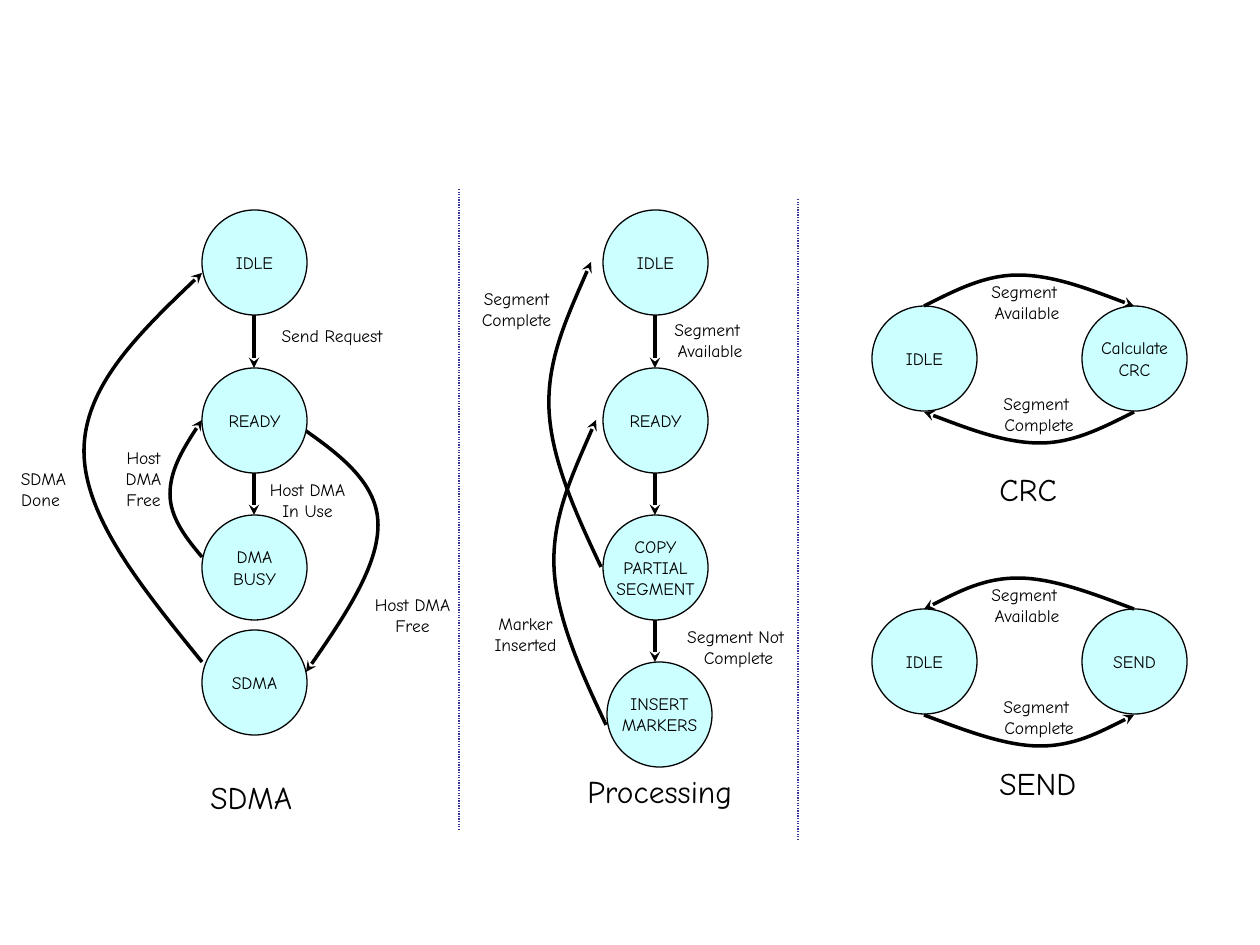
import pptx
import pptx.util
import pptx.dml.color
import pptx.enum.dml
import pptx.enum.shapes
import pptx.enum.text
import pptx.oxml.ns
import lxml.etree

SCALE = 914400 / 126  # EMU per px
FONT = "Comic Neue"
COLOURS = {"state": "CCFFFF", "ink": "000000", "divider": "333399"}
COLOURS = {name: pptx.dml.color.RGBColor.from_string(code) for name, code in COLOURS.items()}
ALIGN = pptx.enum.text.PP_ALIGN
qn = pptx.oxml.ns.qn


def px(*lengths):
    return [round(length * SCALE) for length in lengths]


def write(frame, text, size=10, align=ALIGN.CENTER, anchor=pptx.enum.text.MSO_ANCHOR.TOP):
    frame.word_wrap = False
    frame.vertical_anchor = anchor
    for index, line in enumerate(text.split("\n")):
        para = frame.paragraphs[0] if index == 0 else frame.add_paragraph()
        para.alignment = align
        span = para.add_run()
        span.text = line
        span.font.name = FONT
        span.font.size = pptx.util.Pt(size)
        span.font.color.rgb = COLOURS["ink"]


deck = pptx.Presentation()
deck.slide_width, deck.slide_height = px(1260, 945)
page = deck.slides.add_slide(deck.slide_layouts[6])
shapes = page.shapes

# State circles: left, top, text
DIAMETER = 105
states = [
    (202, 210, "IDLE"), (202, 368, "READY"), (202, 515, "DMA\nBUSY"), (202, 630, "SDMA"),
    (603, 210, "IDLE"), (603, 368, "READY"), (603, 515, "COPY\nPARTIAL\nSEGMENT"),
    (607, 662, "INSERT\nMARKERS"),
    (872, 306, "IDLE"), (1082, 306, "Calculate\nCRC"),
    (872, 609, "IDLE"), (1082, 609, "SEND"),
]
for left, top, text in states:
    circle = shapes.add_shape(
        pptx.enum.shapes.MSO_SHAPE.OVAL, *px(left, top, DIAMETER, DIAMETER))
    circle.shadow.inherit = False
    circle.fill.solid()
    circle.fill.fore_color.rgb = COLOURS["state"]
    circle.line.color.rgb = COLOURS["ink"]
    circle.line.width = pptx.util.Pt(0.75)
    write(circle.text_frame, text, anchor=pptx.enum.text.MSO_ANCHOR.MIDDLE)

# Curved transitions: a start point and two Bezier pieces, with the arrowhead's end
marker_inserted = [(606, 725), (581, 672), (556, 617), (554, 567),
                   (552, 517), (575, 469), (596, 420)]
segment_complete = [(x - 5, y - 158) for x, y in marker_inserted]
upper_arc = [(924, 306), (954, 291), (984, 275), (1018, 275),
             (1053, 275), (1094, 291), (1134, 306)]
lower_arc = [(2058 - x, 718 - y) for x, y in upper_arc]
curves = [
    ([(202, 662), (142, 588), (84, 517), (84, 451), (84, 387), (142, 330), (202, 273)], "tailEnd"),
    ([(306, 431), (343, 457), (378, 485), (378, 525), (378, 566), (343, 619), (306, 672)], "tailEnd"),
    ([(202, 557), (185, 537), (170, 517), (170, 494), (170, 471), (185, 445), (202, 420)], "tailEnd"),
    (marker_inserted, "tailEnd"),
    (segment_complete, "tailEnd"),
]
for shift, arrow_end in ((0, "tailEnd"), (303, "headEnd")):
    for arc in (upper_arc, lower_arc):
        curves.append(([(x, y + shift) for x, y in arc], arrow_end))

transitions = []
for points, arrow_end in curves:
    builder = shapes.build_freeform(*points[0], scale=SCALE)
    builder.add_line_segments(points[1:], close=False)
    curve = builder.convert_to_shape()
    curve.shadow.inherit = False
    curve.fill.background()
    # Turn each three line segments into one cubic Bezier piece
    outline = curve._element.find(".//" + qn("a:path"))
    segments = outline.findall(qn("a:lnTo"))
    for first in range(0, len(segments), 3):
        bezier = lxml.etree.SubElement(outline, qn("a:cubicBezTo"))
        for segment in segments[first:first + 3]:
            bezier.append(segment[0])
            outline.remove(segment)
    transitions.append((curve, arrow_end))

# Straight transitions and dividers: x, top, bottom
straight = [(254, 315, 368), (254, 473, 515),
            (655, 315, 368), (655, 473, 515), (655, 620, 662)]
dividers = [(459, 189, 829), (798, 199, 840)]
for x, top, bottom in straight + dividers:
    line = shapes.add_connector(
        pptx.enum.shapes.MSO_CONNECTOR.STRAIGHT, *px(x, top, x, bottom))
    lxml.etree.SubElement(line._element.spPr, qn("a:effectLst"))
    if (x, top, bottom) in dividers:
        line.line.color.rgb = COLOURS["divider"]
        line.line.width = pptx.util.Pt(0.75)
        line.line.dash_style = pptx.enum.dml.MSO_LINE.ROUND_DOT
    else:
        transitions.append((line, "tailEnd"))

# Arrow style
for stroke, arrow_end in transitions:
    stroke.line.color.rgb = COLOURS["ink"]
    stroke.line.width = pptx.util.Pt(2)
    lxml.etree.SubElement(stroke.line._get_or_add_ln(), qn("a:" + arrow_end), type="stealth")

# Transition labels and machine titles: left, top, width, height, text
labels = [
    (357, 588, 111, 54, "Host DMA\nFree"),
    (263, 319, 138, 34, "Send Request"),
    (-1, 462, 83, 54, " SDMA\nDone"),
    (106, 441, 75, 76, " Host \nDMA\nFree"),
    (252, 473, 111, 54, "Host DMA\nIn Use"),
    (659, 313, 102, 54, "Segment \nAvailable"),
    (669, 620, 139, 54, "Segment Not \nComplete"),
    (476, 607, 99, 54, "Marker\nInserted"),
    (466, 282, 101, 54, "Segment\nComplete"),
]
for shift in (0, 303):
    labels.append((976, 275 + shift, 102, 54, "Segment \nAvailable"))
    labels.append((988, 387 + shift, 102, 54, "Segment \nComplete"))
titles = [
    (198, 772, 121, 50, "SDMA"),
    (575, 766, 180, 50, "Processing"),
    (987, 464, 83, 50, "CRC"),
    (987, 758, 115, 50, "SEND"),
]
for group, style in ((labels, {}), (titles, {"size": 18, "align": ALIGN.LEFT})):
    for left, top, width, height, text in group:
        box = shapes.add_textbox(*px(left, top, width, height))
        box.text_frame.auto_size = pptx.enum.text.MSO_AUTO_SIZE.SHAPE_TO_FIT_TEXT
        write(box.text_frame, text, **style)

deck.save("out.pptx")
